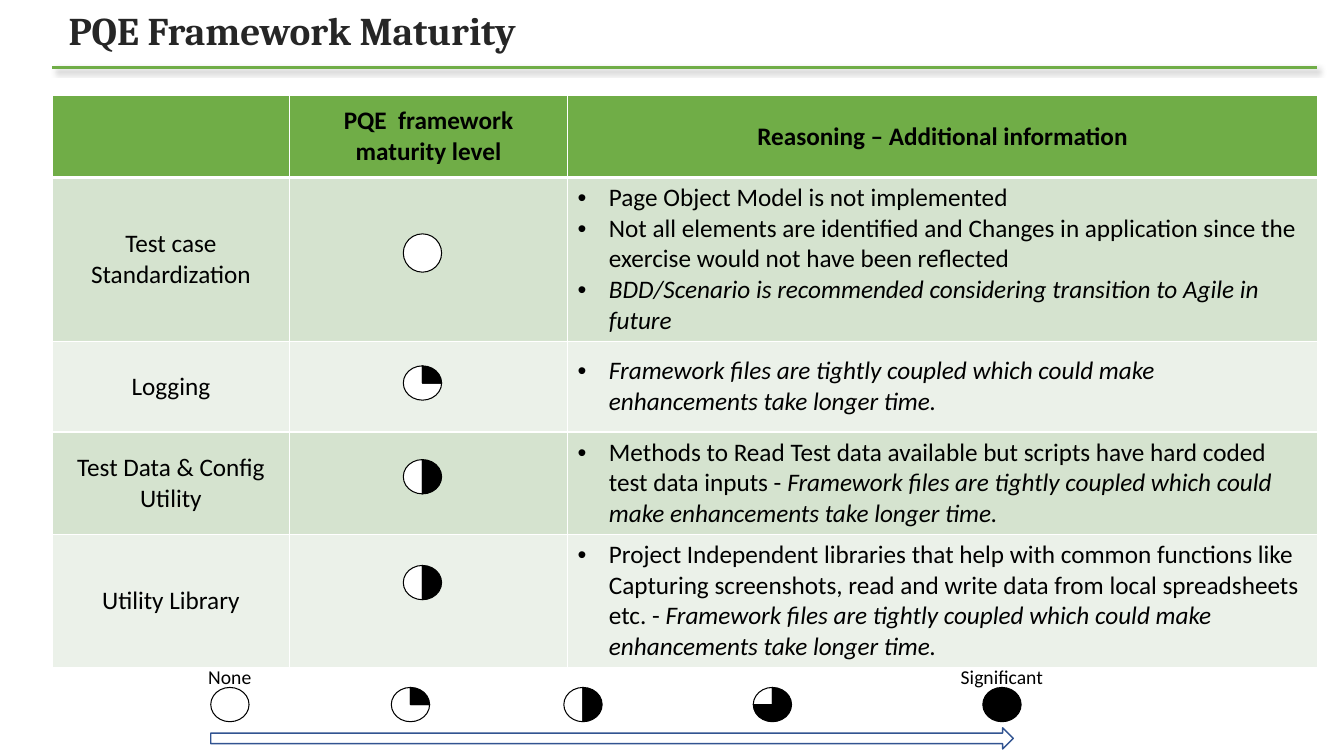
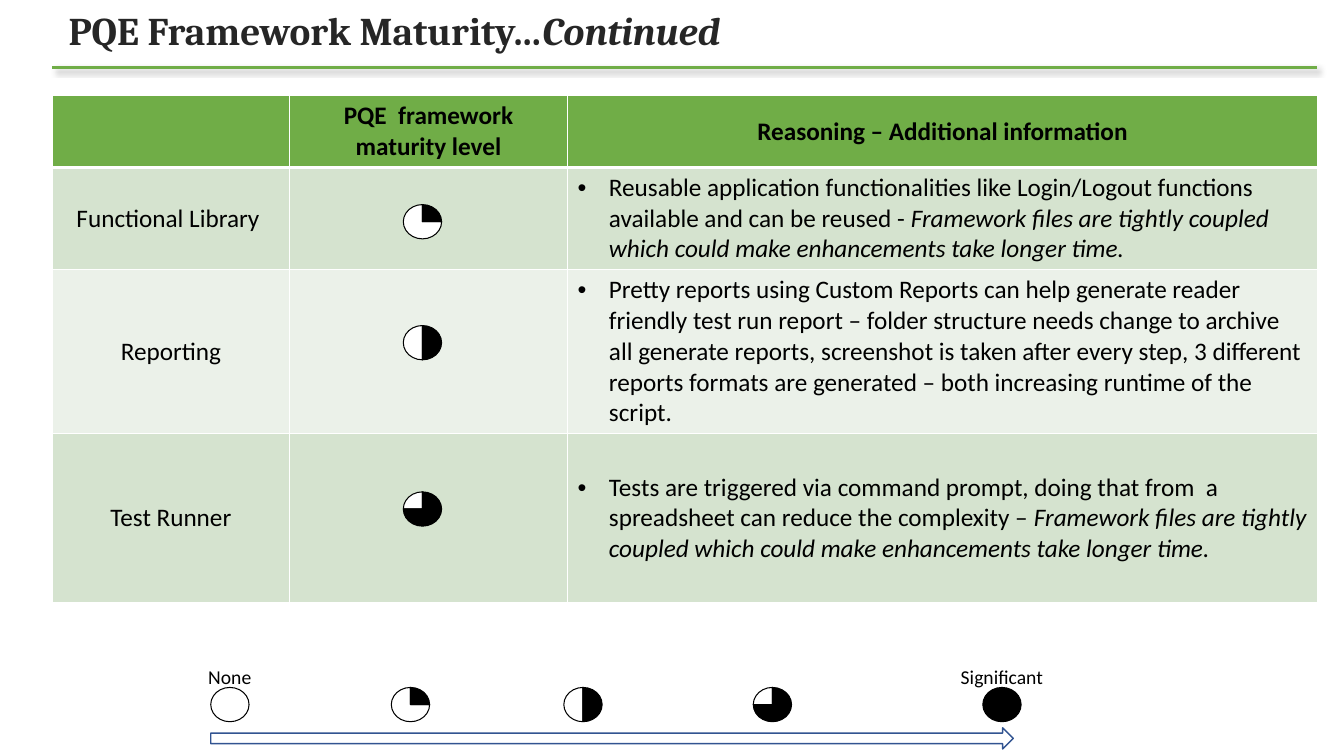
from lxml.etree import SubElement
from pptx import Presentation
from pptx.dml.color import RGBColor
from pptx.enum.shapes import MSO_CONNECTOR, MSO_SHAPE as SHAPE
from pptx.enum.text import MSO_ANCHOR as ANCHOR, MSO_AUTO_SIZE as AUTO, PP_ALIGN as ALIGN
from pptx.oxml import parse_xml
from pptx.oxml.ns import nsdecls, qn
from pptx.util import Inches, Pt

SLIDE_W, SLIDE_H = 13.33, 7.5
LEFT, WIDTH = 0.52, 12.54
TITLE_BOX = (0.08, 0.06, 12.31, 0.53)
RULE_Y, TABLE_Y = 0.67, 0.95
LEGEND_BOX = (2.09, 6.55, 7.96, 0.88)
LEGEND_SHARES = (0, 0.225, 0.44, 0.676, 0.962)
COLUMNS = (2.35, 2.76, 7.44)
BALL_W, BALL_H = 0.38, 0.34
GREEN, BANDS = "70AD47", ("D5E3CF", "EBF1E9")
BLACK, WHITE, TITLE_INK, BLUE = "000000", "FFFFFF", "262626", "325491"
HEADERS = ("", "PQE  framework maturity level", "Reasoning – Additional information")
COUPLED = "Framework files are tightly coupled which could make enhancements take longer time."

SLIDES = [
    {"title": ("PQE Framework Maturity", ""), "header_h": 0.81, "rows": [
        ("Test case Standardization", 1.59, 0, (2.32, 0.38), [
            ("Page Object Model is not implemented", ""),
            ("Not all elements are identified and Changes in application since the "
             "exercise would not have been reflected ", ""),
            ("", "BDD/Scenario is recommended considering transition to Agile in future ")]),
        ("Logging", 0.9, 1, (3.63, BALL_H), [("", COUPLED)]),
        ("Test Data & Config Utility", 0.87, 2, (4.56, BALL_H), [
            ("Methods to Read Test data available but scripts have hard coded "
             "test data inputs - ", COUPLED)]),
        ("Utility Library", 1.23, 2, (5.61, BALL_H), [
            ("Project Independent libraries that help with common functions like Capturing "
             "screenshots, read and write data from local spreadsheets etc. - ", COUPLED)]),
    ]},
    {"title": ("PQE Framework Maturity…", "Continued"), "header_h": 0.7, "rows": [
        ("Functional Library ", 0.99, 1, (2.03, BALL_H), [
            ("Reusable application functionalities like Login/Logout functions "
             "available and can be reused - ", COUPLED)]),
        ("Reporting", 1.06, 2, (3.23, BALL_H), [
            ("Pretty reports using Custom Reports can help generate reader friendly test run "
             "report – folder structure needs change to archive all generate reports, "
             "screenshot is taken after every step, 3 different reports formats are generated "
             "– both increasing runtime of the script.", "")]),
        ("Test Runner", 1.68, 3, (4.88, BALL_H), [
            ("Tests are triggered via command prompt, doing that from  a spreadsheet can "
             "reduce the complexity – ", COUPLED)]),
    ]},
]


def rgb(value):
    """Turn a hex string into a colour."""
    return RGBColor.from_string(value)


def paint(target, value):
    """Give a shape or cell a solid fill."""
    target.fill.solid()
    target.fill.fore_color.rgb = rgb(value)


def add_runs(p, plain, italic="", size=18, font="Calibri", color=BLACK, bold=False):
    """Add a plain and an italic run, leaving out empty ones."""
    for text, slanted in ((plain, False), (italic, True)):
        if text:
            r = p.add_run()
            r.text = text
            r.font.size, r.font.name = Pt(size), font
            r.font.bold, r.font.italic = bold, slanted
            r.font.color.rgb = rgb(color)


def add_filled(parent, kind, box, fill, line=BLACK, weight=0.75):
    """Add an outlined preset shape without shadow."""
    sp = parent.shapes.add_shape(kind, *map(Inches, box))
    sp.shadow.inherit = False
    paint(sp, fill)
    sp.line.color.rgb = rgb(line)
    sp.line.width = Pt(weight)
    return sp


def add_ball(s, x, y, level, height=BALL_H):
    """Draw a ball with the given number of black quarters."""
    box = (x, y, BALL_W, height)
    if level in (0, 4):
        add_filled(s, SHAPE.OVAL, box, BLACK if level else WHITE)
        return
    group = s.shapes.add_group_shape()
    top, end = 162, 54 * (level - 1)
    for fill, angles in ((WHITE, (end, top)), (BLACK, (top, end))):
        sp = add_filled(group, SHAPE.PIE, box, fill)
        sp.adjustments[0], sp.adjustments[1] = angles


def add_heading(s, box, title):
    """Fill the title placeholder and draw the shadowed rule below it."""
    sp = s.shapes.title
    sp.left, sp.top, sp.width, sp.height = map(Inches, box)
    paint(sp, WHITE)
    tf = sp.text_frame
    tf.auto_size, tf.word_wrap, tf.vertical_anchor = AUTO.NONE, True, ANCHOR.MIDDLE
    tf.margin_left = Inches(0.6)
    p = tf.paragraphs[0]
    p.alignment, p.line_spacing = ALIGN.LEFT, 0.9
    add_runs(p, *title, size=28, font="Cambria", color=TITLE_INK, bold=True)
    rule = s.shapes.add_connector(MSO_CONNECTOR.STRAIGHT, *map(
        Inches, (LEFT, RULE_Y, LEFT + WIDTH, RULE_Y)))
    rule.line.color.rgb = rgb(GREEN)
    rule.line.width = Pt(1.5)
    rule._element.spPr.append(parse_xml(
        f'<a:effectLst {nsdecls("a")}><a:outerShdw blurRad="{Pt(4)}" dist="{Pt(3)}" '
        f'dir="2700000" algn="tl" rotWithShape="0"><a:srgbClr val="{BLACK}">'
        '<a:alpha val="40000"/></a:srgbClr></a:outerShdw></a:effectLst>'))


def style_cell(cell, fill, top=1, bottom=1):
    """Set the white borders, fill and anchor of a cell."""
    tc_pr = cell._tc.get_or_add_tcPr()
    for side, weight in zip("LRTB", (1, 1, top, bottom)):
        tc_pr.append(parse_xml(
            f'<a:ln{side} {nsdecls("a")} w="{Pt(weight)}"><a:solidFill>'
            f'<a:srgbClr val="{WHITE}"/></a:solidFill></a:ln{side}>'))
    paint(cell, fill)
    cell.vertical_anchor = ANCHOR.MIDDLE


def add_bullets(tf, items):
    """Write bulleted paragraphs of plain and italic text."""
    for i, item in enumerate(items):
        p = tf.add_paragraph() if i else tf.paragraphs[0]
        p_pr = p._p.get_or_add_pPr()
        p_pr.set("marL", str(Inches(0.31)))
        p_pr.set("indent", str(-Inches(0.31)))
        SubElement(p_pr, qn("a:buFont"), typeface="Arial")
        SubElement(p_pr, qn("a:buChar"), char="•")
        add_runs(p, *item)


def add_centred(tf, text, **style):
    """Write one centred paragraph."""
    p = tf.paragraphs[0]
    p.alignment = ALIGN.CENTER
    add_runs(p, text, **style)


def add_maturity_table(s, x, y, header_h, rows):
    """Build the table of areas and place its maturity balls."""
    heights = [header_h] + [row[1] for row in rows]
    frame = s.shapes.add_table(len(heights), len(COLUMNS), *map(
        Inches, (x, y, WIDTH, sum(heights))))
    table = frame.table
    table.horz_banding = False
    for column, width in zip(table.columns, COLUMNS):
        column.width = Inches(width)
    for row, height in zip(table.rows, heights):
        row.height = Inches(height)
    for cell, text in zip(table.rows[0].cells, HEADERS):
        style_cell(cell, GREEN, bottom=3)
        add_centred(cell.text_frame, text, bold=True)
    ball_x = x + COLUMNS[0] + (COLUMNS[1] - BALL_W) / 2 - 0.06
    for i, (area, _, level, (ball_y, ball_h), reasons) in enumerate(rows):
        cells = list(table.rows[i + 1].cells)
        for cell in cells:
            style_cell(cell, BANDS[i % 2], top=1 if i else 3)
        add_centred(cells[0].text_frame, area)
        add_bullets(cells[2].text_frame, reasons)
        add_ball(s, ball_x, ball_y, level, ball_h)


def add_legend(s, box):
    """Draw the scale from none to significant above its arrow."""
    x, y, w, h = box
    label_w = 1.2
    for level, share in enumerate(LEGEND_SHARES):
        ball_x = x + share * w
        add_ball(s, ball_x, y + 0.27, level)
        label = {0: "None", 4: "Significant"}.get(level)
        if label:
            tb = s.shapes.add_textbox(*map(Inches, (
                ball_x + (BALL_W - label_w) / 2, y, label_w, 0.3)))
            tb.text_frame.word_wrap = True
            add_centred(tb.text_frame, label, size=14)
    add_filled(s, SHAPE.RIGHT_ARROW, (x, y + h - 0.21, w, 0.21), WHITE, BLUE, 1)


def add_maturity_slide(prs, title, header_h, rows):
    """Add one slide with heading, table and legend."""
    s = prs.slides.add_slide(prs.slide_layouts[5])
    add_heading(s, TITLE_BOX, title)
    add_maturity_table(s, LEFT, TABLE_Y, header_h, rows)
    add_legend(s, LEGEND_BOX)


def main():
    """Build and save the presentation."""
    prs = Presentation()
    prs.slide_width, prs.slide_height = Inches(SLIDE_W), Inches(SLIDE_H)
    for content in SLIDES:
        add_maturity_slide(prs, **content)
    prs.save("out.pptx")


main()
